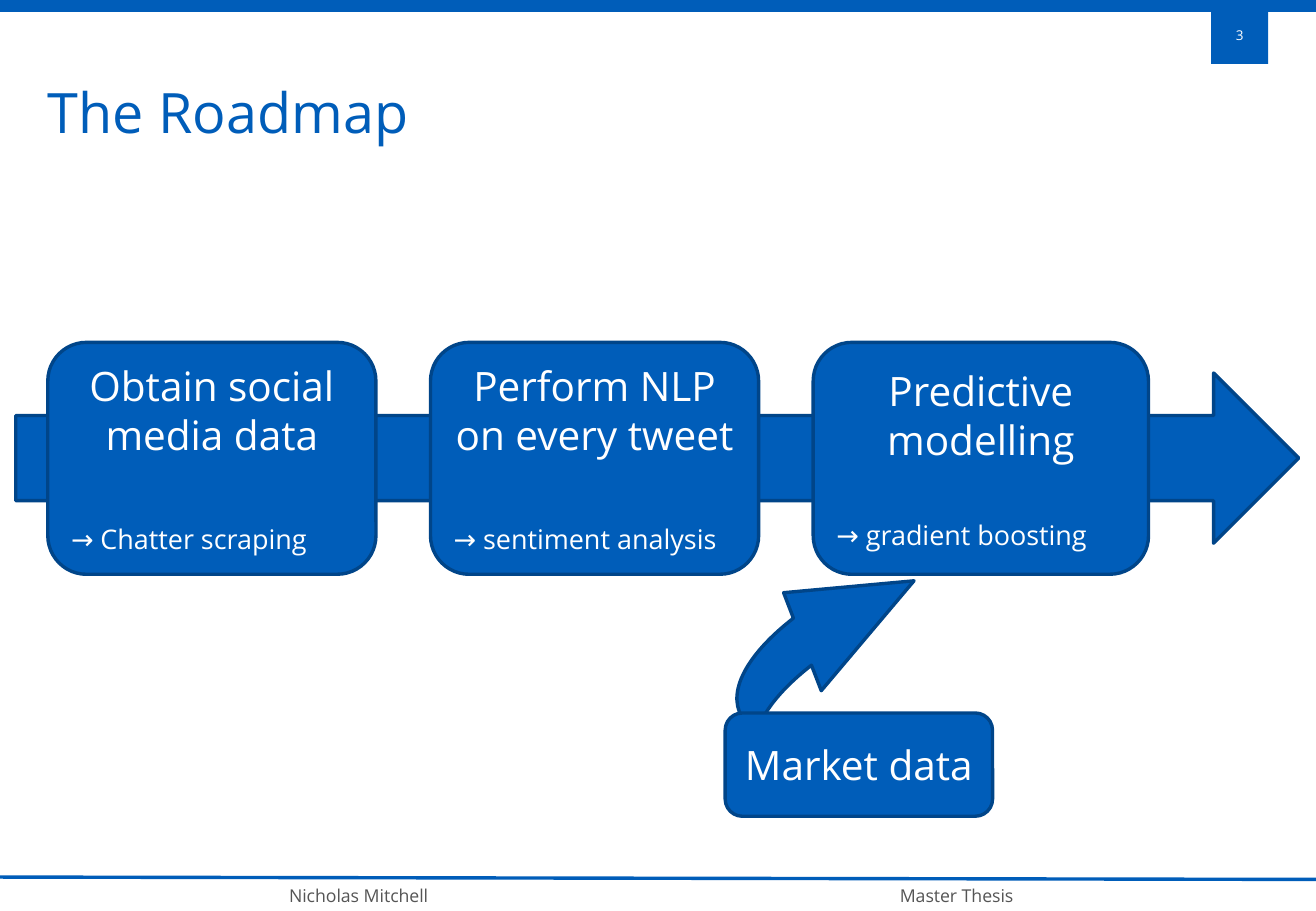
"""Build the roadmap slide: three process steps on an arrow, fed by market data."""
import dataclasses

import lxml.etree
import pptx
import pptx.dml.color
import pptx.enum.shapes
import pptx.enum.text
import pptx.oxml.ns
import pptx.util

Cm = pptx.util.Cm
Pt = pptx.util.Pt
Shapes = pptx.enum.shapes.MSO_SHAPE
Align = pptx.enum.text.PP_ALIGN
Anchor = pptx.enum.text.MSO_ANCHOR


@dataclasses.dataclass(frozen=True)
class Theme:
    font: str = "Open Sans"
    blue: str = "005DB9"
    outline: str = "004589"
    white: str = "FFFFFF"
    grey: str = "555555"
    title: float = 33
    heading: float = 24
    detail: float = 16
    footer: float = 10.5
    number: float = 8
    line: float = 2


THEME = Theme()
SLIDE_WIDTH = 27.51
SLIDE_HEIGHT = 19.05
MARGIN = 1
STEP_PITCH = 8
STEPS = [
    ("Obtain social media data", "→ Chatter scraping", 6.86, 38),
    ("Perform NLP on every tweet", "→ sentiment analysis", 6.86, 38),
    ("Predictive modelling", "→ gradient boosting", 7.01, 32.7),
]


def rgb(value):
    return pptx.dml.color.RGBColor.from_string(value)


def style_paragraph(paragraph, text, size, color, alignment=Align.CENTER):
    paragraph.text = text
    paragraph.alignment = alignment
    paragraph.font.name = THEME.font
    paragraph.font.size = Pt(size)
    paragraph.font.color.rgb = rgb(color)


def add_block(slide, kind, left, top, width, height, outlined=True):
    shape = slide.shapes.add_shape(kind, Cm(left), Cm(top), Cm(width), Cm(height))
    shape.shadow.inherit = False
    shape.fill.solid()
    shape.fill.fore_color.rgb = rgb(THEME.blue)
    if outlined:
        shape.line.color.rgb = rgb(THEME.outline)
        shape.line.width = Pt(THEME.line)
    else:
        shape.line.fill.background()
    return shape


def add_label(shape, text, size):
    frame = shape.text_frame
    frame.word_wrap = True
    frame.vertical_anchor = Anchor.MIDDLE
    style_paragraph(frame.paragraphs[0], text, size, THEME.white)


def add_text(slide, text, left, top, width, height, size, color, alignment, spacing):
    frame = slide.shapes.add_textbox(Cm(left), Cm(top), Cm(width), Cm(height)).text_frame
    frame.word_wrap = True
    frame.margin_left = frame.margin_right = 0
    paragraph = frame.paragraphs[0]
    style_paragraph(paragraph, text, size, color, alignment)
    paragraph.line_spacing = spacing


def add_step(slide, left, heading, detail, width, gap):
    step = add_block(slide, Shapes.ROUNDED_RECTANGLE, left, 7.16, width, 4.85)
    add_label(step, heading, THEME.heading)
    paragraph = step.text_frame.add_paragraph()
    style_paragraph(paragraph, detail, THEME.detail, THEME.white, Align.LEFT)
    paragraph.space_before = Pt(gap)


def add_header(slide):
    add_block(slide, Shapes.RECTANGLE, 0, 0, SLIDE_WIDTH, 0.25, outlined=False)
    number = add_block(slide, Shapes.RECTANGLE, 25.32, 0.15, 1.19, 1.19, outlined=False)
    add_label(number, "3", THEME.number)
    add_text(slide, "The Roadmap", MARGIN, 1.09, 25.5, 2.39,
             THEME.title, THEME.blue, Align.LEFT, 1.3)


def add_footer(slide):
    rule = slide.shapes.add_connector(
        pptx.enum.shapes.MSO_CONNECTOR.STRAIGHT,
        Cm(0), Cm(18.34), Cm(SLIDE_WIDTH), Cm(18.39))
    rule.line.color.rgb = rgb(THEME.blue)
    rule.line.width = Pt(THEME.line)
    properties = rule._element.spPr
    lxml.etree.SubElement(properties, pptx.oxml.ns.qn("a:effectLst"))
    column = 12.5
    for index, text in enumerate(("Nicholas Mitchell", "Master Thesis")):
        add_text(slide, text, 1.25 + index * column, 18.34, column, 0.7,
                 THEME.footer, THEME.grey, Align.CENTER, 1.1)


def add_market_data(slide):
    feed = add_block(slide, Shapes.CURVED_DOWN_ARROW, 15.01, 12.12, 5.16, 4.39)
    feed.rotation = 249
    for index, value in enumerate((0.24, 0.5, 0.6)):
        feed.adjustments[index] = value
    market = add_block(slide, Shapes.ROUNDED_RECTANGLE, 15.16, 14.91, 5.59, 2.16)
    add_label(market, "Market data", THEME.heading)


def main():
    presentation = pptx.Presentation()
    presentation.slide_width = Cm(SLIDE_WIDTH)
    presentation.slide_height = Cm(SLIDE_HEIGHT)
    slide = presentation.slides.add_slide(presentation.slide_layouts[6])
    add_header(slide)
    add_footer(slide)
    add_block(slide, Shapes.RIGHT_ARROW, 0.33, 7.8, 26.82, 3.56)
    for index, step in enumerate(STEPS):
        add_step(slide, MARGIN + index * STEP_PITCH, *step)
    add_market_data(slide)
    presentation.save("out.pptx")


if __name__ == "__main__":
    main()
